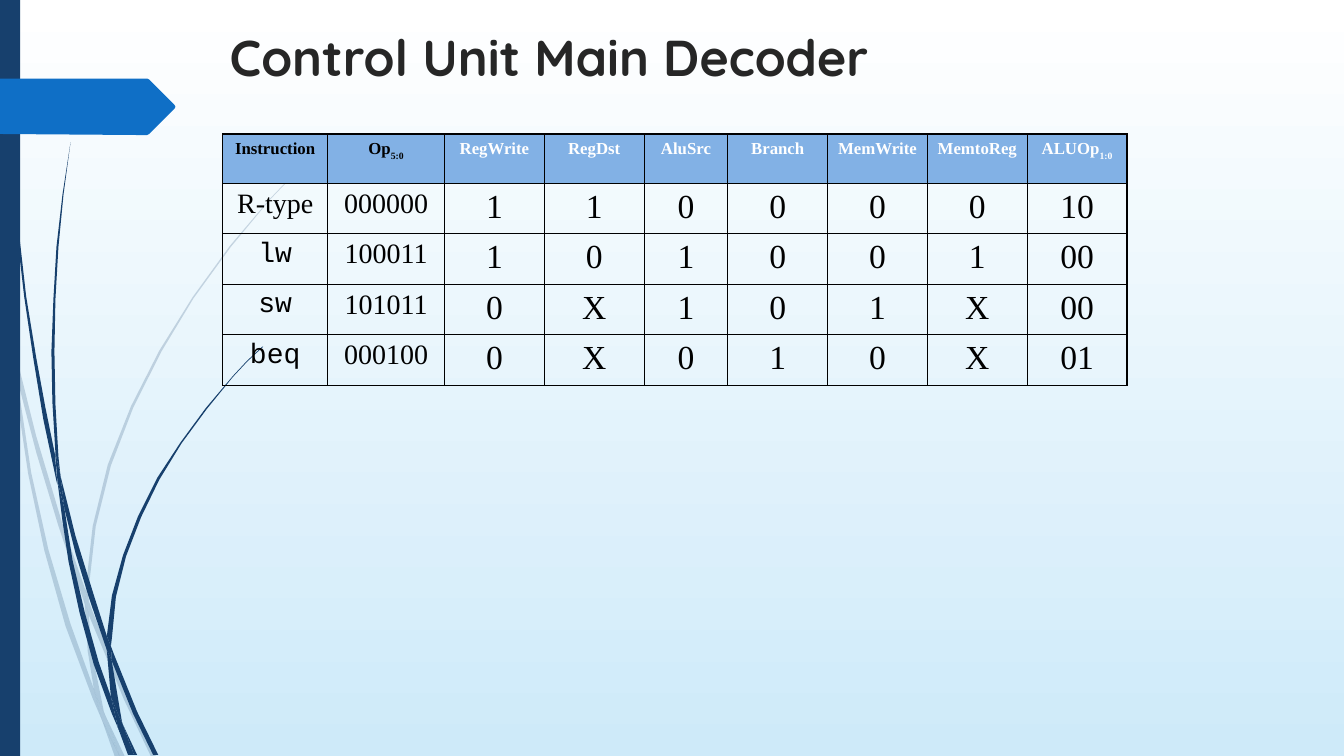
"""Build the slide on the truth table of the control unit's main decoder."""
from lxml.etree import SubElement
from pptx import Presentation
from pptx.dml.color import RGBColor
from pptx.enum.shapes import MSO_SHAPE as Preset
from pptx.enum.text import MSO_ANCHOR as Anchor, PP_ALIGN as Align
from pptx.oxml.ns import qn
from pptx.util import Inches, Pt

NAVY = RGBColor(0x17, 0x40, 0x6D)
BLUE = RGBColor(0x0F, 0x6F, 0xC6)
HEADER_BLUE = RGBColor(0x82, 0xB1, 0xE5)
SKY = RGBColor(0xCE, 0xEA, 0xF9)
CHARCOAL = RGBColor(0x26, 0x26, 0x26)
BLACK = RGBColor(0, 0, 0)
WHITE = RGBColor(0xFF, 0xFF, 0xFF)

PALE_STRANDS = [
    [(0.11, 3.5), (0.09, 3.22), (0, 2.82), (0, 2.99), (0.1, 3.44)],
    [(0.58, 5.22), (0.84, 5.99), (0.85, 5.86), (0.62, 5.2), (0.36, 4.33),
     (0.14, 3.45), (0.17, 3.76), (0.36, 4.49)],
    [(0.92, 6.07), (0.88, 5.96), (0.88, 6.1), (1.23, 6.94), (1.5, 7.51),
     (1.55, 7.51), (1.27, 6.92)],
    [(1.19, 7.51), (1.24, 7.51), (1.05, 7.11)],
    [(0.93, 6.83), (0.7, 6.19), (0.48, 5.45), (0.31, 4.69), (0.17, 3.76),
     (0.11, 3.5), (0.19, 4.1), (0.28, 4.7), (0.44, 5.46), (0.65, 6.21),
     (0.92, 6.93), (1.01, 7.14), (0.99, 7.07)],
    [(0.84, 5.99), (0.87, 6.46), (0.93, 6.83), (0.96, 6.92), (1.05, 7.11),
     (1.03, 7.06), (0.91, 6.46), (0.88, 6.1), (0.88, 6.08)],
    [(0.88, 5.84), (0.95, 5.22), (1.1, 4.62), (1.32, 4.05), (1.6, 3.49),
     (1.92, 2.96), (2.29, 2.45), (2.68, 1.98), (2.9, 1.75), (3.12, 1.54),
     (3.12, 1.53), (2.89, 1.75), (2.68, 1.97), (2.28, 2.44), (1.91, 2.95),
     (1.58, 3.48), (1.3, 4.03), (1.07, 4.61), (0.92, 5.22), (0.85, 5.84),
     (0.85, 5.86), (0.88, 5.96)],
    [(1.01, 7.14), (1.14, 7.51), (1.19, 7.51)],
    [(0.88, 6.08), (0.88, 6.1), (0.88, 5.96), (0.85, 5.86), (0.84, 5.99)],
    [(0.96, 6.92), (0.93, 6.83), (0.99, 7.07), (1.01, 7.14), (1.19, 7.51),
     (1.05, 7.11)],
]
DARK_STRANDS = [
    [(0.07, 1.1), (0.11, 1.72), (0.17, 2.33), (0.24, 2.94), (0.33, 3.55),
     (0.43, 4.16), (0.56, 4.77), (0.57, 4.81), (0.55, 4.57), (0.55, 4.53),
     (0.45, 4.04), (0.36, 3.55), (0.26, 2.94), (0.19, 2.32), (0.13, 1.71),
     (0.08, 1.09), (0.05, 0.48), (0.04, 0), (0.03, 0), (0.04, 0.48)],
    [(0.88, 5.92), (1.06, 6.45), (1.06, 6.33), (1.06, 6.31), (0.93, 5.9),
     (0.75, 5.32), (0.6, 4.72), (0.64, 5.05), (0.75, 5.49)],
    [(1.13, 6.49), (1.1, 6.41), (1.11, 6.56), (1.32, 7.08), (1.52, 7.49),
     (1.57, 7.49), (1.36, 7.06)],
    [(1.1, 6.91), (0.98, 6.57), (0.84, 6.07), (0.72, 5.56), (0.64, 5.05),
     (0.57, 4.77), (0.62, 5.17), (0.68, 5.57), (0.79, 6.08), (0.93, 6.59),
     (1.11, 7.08), (1.17, 7.22), (1.16, 7.17)],
    [(0.6, 4.72), (0.58, 4.53), (0.55, 4.01), (0.54, 3.49), (0.55, 2.97),
     (0.58, 2.45), (0.63, 1.93), (0.7, 1.41), (0.62, 1.93), (0.56, 2.45),
     (0.53, 2.97), (0.51, 3.49), (0.52, 3.99), (0.55, 4.49)],
    [(1.33, 7.49), (1.36, 7.49), (1.22, 7.19)],
    [(0.57, 4.77), (0.64, 5.05), (0.6, 4.72), (0.55, 4.49), (0.55, 4.53)],
    [(1.11, 6.33), (1.15, 5.92), (1.25, 5.52), (1.4, 5.13), (1.58, 4.76),
     (1.8, 4.4), (2.05, 4.06), (2.31, 3.74), (2.45, 3.59), (2.61, 3.44),
     (2.6, 3.44), (2.45, 3.58), (2.31, 3.73), (2.04, 4.05), (1.79, 4.39),
     (1.56, 4.74), (1.37, 5.12), (1.22, 5.51), (1.11, 5.91), (1.06, 6.31),
     (1.1, 6.41)],
    [(1.17, 7.22), (1.27, 7.49), (1.31, 7.49)],
    [(1.06, 6.45), (1.1, 6.91), (1.16, 7.06), (1.22, 7.19), (1.21, 7.16),
     (1.11, 6.56), (1.09, 6.51)],
    [(1.06, 6.45), (1.09, 6.51), (1.11, 6.56), (1.1, 6.41), (1.06, 6.31)],
    [(1.16, 7.06), (1.1, 6.91), (1.16, 7.17), (1.17, 7.22), (1.3, 7.49),
     (1.33, 7.49), (1.22, 7.19)],
]
BANNER = [(0, 0.78), (1.46, 0.78), (1.48, 0.79), (1.73, 1.04), (1.74, 1.06),
          (1.73, 1.08), (1.48, 1.33), (1.46, 1.34), (1.36, 1.34), (0, 1.33)]

SIGNALS = [("Instruction", ""), ("Op", "5:0"), ("RegWrite", ""), ("RegDst", ""),
           ("AluSrc", ""), ("Branch", ""), ("MemWrite", ""), ("MemtoReg", ""),
           ("ALUOp", "1:0")]
DECODINGS = [
    "R-type 000000 1 1 0 0 0 0 10",
    "lw 100011 1 0 1 0 0 1 00",
    "sw 101011 0 X 1 0 1 X 00",
    "beq 000100 0 X 0 1 0 X 01",
]
COLUMN_WIDTHS = [1.04, 1.16, 0.99, 0.99, 0.83, 0.99, 0.99, 0.99, 0.99]
ROW_HEIGHTS = [0.49] + [0.48] * len(DECODINGS)


class DecoderSlide:
    """Hold the current slide and its style."""

    title_font, table_font, code_font = "Quicksand", "Times New Roman", "Courier New"

    def __init__(self, deck):
        self.slide = deck.slides.add_slide(deck.slide_layouts[6])
        self.shapes = self.slide.shapes

    def background(self, top, bottom):
        fill = self.slide.background.fill
        fill.gradient()
        fill.gradient_angle = 270
        for stop, color, position in zip(fill.gradient_stops, (top, bottom), (0, 1)):
            stop.color.rgb, stop.position = color, position

    def paint(self, shape, color, opacity=100):
        shape.shadow.inherit = False
        shape.fill.solid()
        shape.fill.fore_color.rgb = color
        shape.line.fill.background()
        if opacity < 100:
            tint = shape.fill._xPr.find(qn("a:solidFill"))[0]
            SubElement(tint, qn("a:alpha"), val=str(opacity * 1000))

    def outline(self, points, color, opacity=100):
        corners = [(Inches(x), Inches(y)) for x, y in points]
        builder = self.shapes.build_freeform(*corners[0])
        builder.add_line_segments(corners[1:], close=True)
        self.paint(builder.convert_to_shape(), color, opacity)

    def bar(self, left, top, width, height, color):
        box = map(Inches, (left, top, width, height))
        self.paint(self.shapes.add_shape(Preset.RECTANGLE, *box), color)

    def run(self, paragraph, text, font, size, color, bold=False):
        run = paragraph.add_run()
        run.text = text
        run.font.name, run.font.size = font, Pt(size)
        run.font.bold, run.font.color.rgb = bold, color
        return run

    def title(self, text, left, top, width, height):
        frame = self.shapes.add_textbox(*map(Inches, (left, top, width, height))).text_frame
        frame.word_wrap, frame.vertical_anchor = True, Anchor.MIDDLE
        self.run(frame.paragraphs[0], text, self.title_font, 36, CHARCOAL, True)

    def cell(self, cell):
        props = cell._tc.get_or_add_tcPr()
        for side in ("a:lnL", "a:lnR", "a:lnT", "a:lnB"):
            border = SubElement(props, qn(side), w=str(Pt(1)))
            SubElement(SubElement(border, qn("a:solidFill")), qn("a:srgbClr"), val=str(BLACK))
        cell.fill.background()
        paragraph = cell.text_frame.paragraphs[0]
        paragraph.alignment = Align.CENTER
        indent = Inches(0.38)
        layout = paragraph._p.get_or_add_pPr()
        layout.set("marL", str(indent))
        layout.set("indent", str(-indent))
        return paragraph

    def truth_table(self, left, top):
        size = (sum(COLUMN_WIDTHS), sum(ROW_HEIGHTS))
        table = self.shapes.add_table(len(ROW_HEIGHTS), len(COLUMN_WIDTHS),
                                      *map(Inches, (left, top, *size))).table
        table.first_row = table.horz_banding = False
        for column, width in zip(table.columns, COLUMN_WIDTHS):
            column.width = Inches(width)
        for row, height in zip(table.rows, ROW_HEIGHTS):
            row.height = Inches(height)
        for index, (signal, bits) in enumerate(SIGNALS):
            heading = table.cell(0, index)
            paragraph = self.cell(heading)
            heading.fill.solid()
            heading.fill.fore_color.rgb = HEADER_BLUE
            color = BLACK if index < 2 else WHITE
            self.run(paragraph, signal, self.table_font, 12, color, True)
            if bits:
                subscript = self.run(paragraph, bits, self.table_font, 12, color, True)
                subscript.font._element.set("baseline", "-30000")
        for line, decoding in enumerate(DECODINGS, 1):
            for index, value in enumerate(decoding.split()):
                mnemonic = index == 0 and value.islower()
                self.run(self.cell(table.cell(line, index)), value,
                         self.code_font if mnemonic else self.table_font,
                         20 if index < 2 else 24, BLACK)


def main():
    deck = Presentation()
    deck.slide_width, deck.slide_height = Inches(13.33), Inches(7.5)
    page = DecoderSlide(deck)
    page.background(WHITE, SKY)
    for strand in PALE_STRANDS:
        page.outline(strand, NAVY, 20)
    for strand in DARK_STRANDS:
        page.outline(strand, NAVY)
    page.bar(0, 0, 0.2, 7.5, NAVY)
    page.outline(BANNER, BLUE)
    page.title("Control Unit Main Decoder", 2.18, 0, 10.47, 1.12)
    page.truth_table(2.21, 1.33)
    deck.save("out.pptx")


if __name__ == "__main__":
    main()
